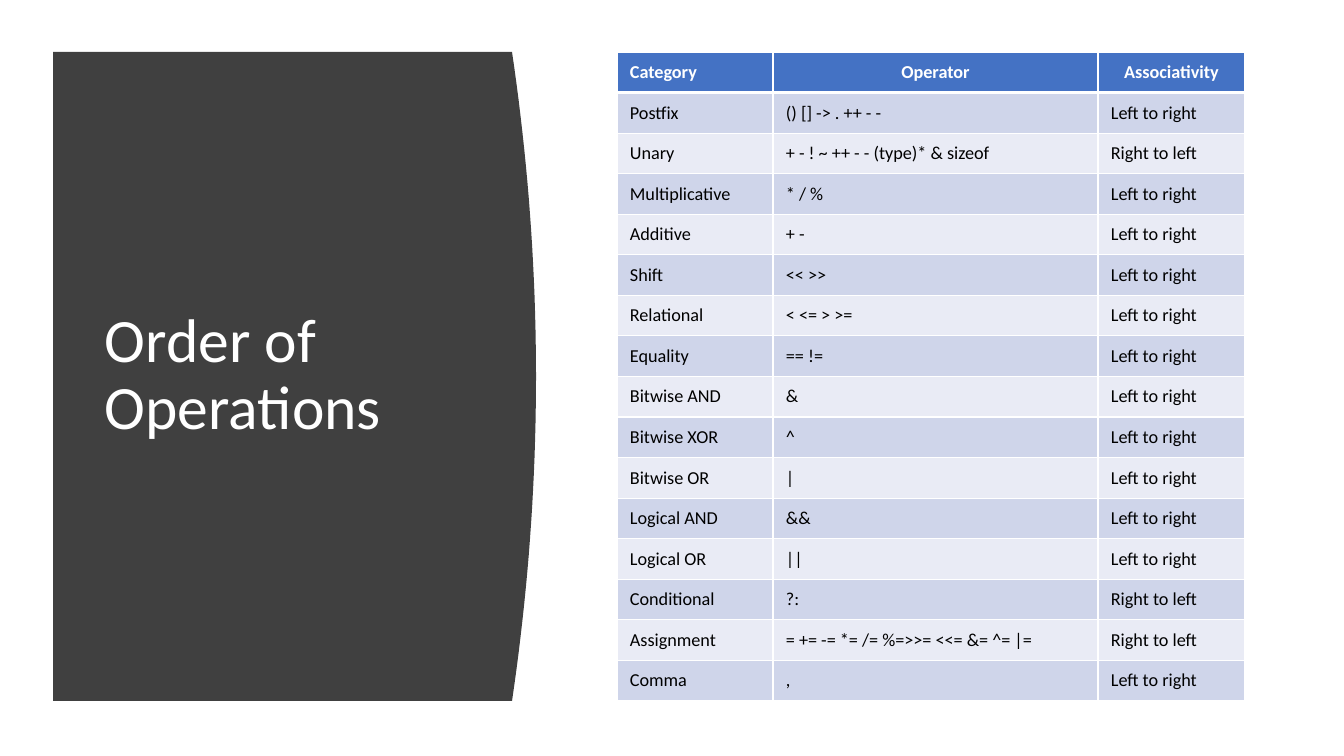
from lxml.etree import SubElement
from pptx import Presentation
from pptx.dml.color import RGBColor
from pptx.enum.text import MSO_ANCHOR, PP_ALIGN
from pptx.oxml.ns import qn
from pptx.util import Emu, Pt

SCALE = 914400 / 100.8  # EMU per pixel
FONT = "Calibri"
COLORS = {
    "panel": "404040",
    "header": "4472C4",
    "odd": "CFD5EA",
    "even": "E9EBF5",
    "white": "FFFFFF",
    "black": "000000",
}
COLUMN_WIDTHS = (156, 325, 147)
HEADER = ("Category", "Operator", "Associativity")
LEFT, RIGHT = "Left to right", "Right to left"
OPERATORS = [
    ("Postfix", "() [] -> . ++ - -", LEFT),
    ("Unary", "+ - ! ~ ++ - - (type)* & sizeof", RIGHT),
    ("Multiplicative", "* / %", LEFT),
    ("Additive", "+ -", LEFT),
    ("Shift", "<< >>", LEFT),
    ("Relational", "< <= > >=", LEFT),
    ("Equality", "== !=", LEFT),
    ("Bitwise AND", "&", LEFT),
    ("Bitwise XOR", "^", LEFT),
    ("Bitwise OR", "|", LEFT),
    ("Logical AND", "&&", LEFT),
    ("Logical OR", "||", LEFT),
    ("Conditional", "?:", RIGHT),
    ("Assignment", "= += -= *= /= %=>>= <<= &= ^= |=", RIGHT),
    ("Comma", ",", LEFT),
]


def px(n):
    return Emu(round(n * SCALE))


def color(name):
    return RGBColor.from_string(COLORS[name])


def set_font(p, size, name, bold=False):
    p.font.name = FONT
    p.font.size = Pt(size)
    p.font.bold = bold
    p.font.color.rgb = color(name)


def add_panel(s, left, top, width, height, bulge, steps=40):
    """Dark panel whose right edge is a shallow parabola."""
    edge = []
    for i in range(steps + 1):
        t = i / steps
        x = left + width + bulge * 4 * t * (1 - t)
        edge.append((px(x), px(top + height * t)))
    builder = s.shapes.build_freeform(px(left), px(top))
    builder.add_line_segments(edge + [(px(left), px(top + height))])
    sp = builder.convert_to_shape()
    sp.shadow.inherit = False
    sp.fill.solid()
    sp.fill.fore_color.rgb = color("panel")
    sp.line.fill.background()


def add_title(s, text, left, top, width, height):
    sp = s.shapes.add_textbox(px(left), px(top), px(width), px(height))
    tf = sp.text_frame
    tf.word_wrap = True
    tf.vertical_anchor = MSO_ANCHOR.MIDDLE
    p = tf.paragraphs[0]
    p.text = text
    p.line_spacing = 0.9
    set_font(p, 44, "white")


def set_borders(cell, top, bottom):
    tc_pr = cell._tc.get_or_add_tcPr()
    for side, width in (("L", 1), ("R", 1), ("T", top), ("B", bottom)):
        ln = SubElement(tc_pr, qn(f"a:ln{side}"), w=str(Pt(width)))
        fill = SubElement(ln, qn("a:solidFill"))
        SubElement(fill, qn("a:srgbClr"), val=COLORS["white"])


def fill_cell(cell, text, row, col):
    is_header = row == 0
    cell.margin_left = cell.margin_right = px(13)
    cell.margin_top = cell.margin_bottom = px(7)
    cell.vertical_anchor = MSO_ANCHOR.MIDDLE
    p = cell.text_frame.paragraphs[0]
    p.text = text
    set_font(p, 13, "white" if is_header else "black", is_header)
    if is_header and col > 0:
        p.alignment = PP_ALIGN.CENTER
    # A thicker rule separates the header from the body
    set_borders(cell, 3 if row == 1 else 1, 3 if is_header else 1)
    cell.fill.solid()
    band = "odd" if row % 2 else "even"
    cell.fill.fore_color.rgb = color("header" if is_header else band)


def add_operator_table(s, left, top, height):
    rows = [HEADER] + OPERATORS
    table = s.shapes.add_table(
        len(rows), len(HEADER), px(left), px(top),
        px(sum(COLUMN_WIDTHS)), px(height)).table
    for column, width in zip(table.columns, COLUMN_WIDTHS):
        column.width = px(width)
    for r, values in enumerate(rows):
        table.rows[r].height = px(height / len(rows))
        for c, text in enumerate(values):
            fill_cell(table.cell(r, c), text, r, c)


def main():
    prs = Presentation()
    prs.slide_width, prs.slide_height = px(1344), px(756)
    s = prs.slides.add_slide(prs.slide_layouts[6])

    # Title side
    add_panel(s, 53, 52, 459, 649, bulge=24)
    add_title(s, "Order of Operations", 95, 112, 377, 528)

    # Precedence table
    add_operator_table(s, 617, 52, 649)

    prs.save("out.pptx")


main()
